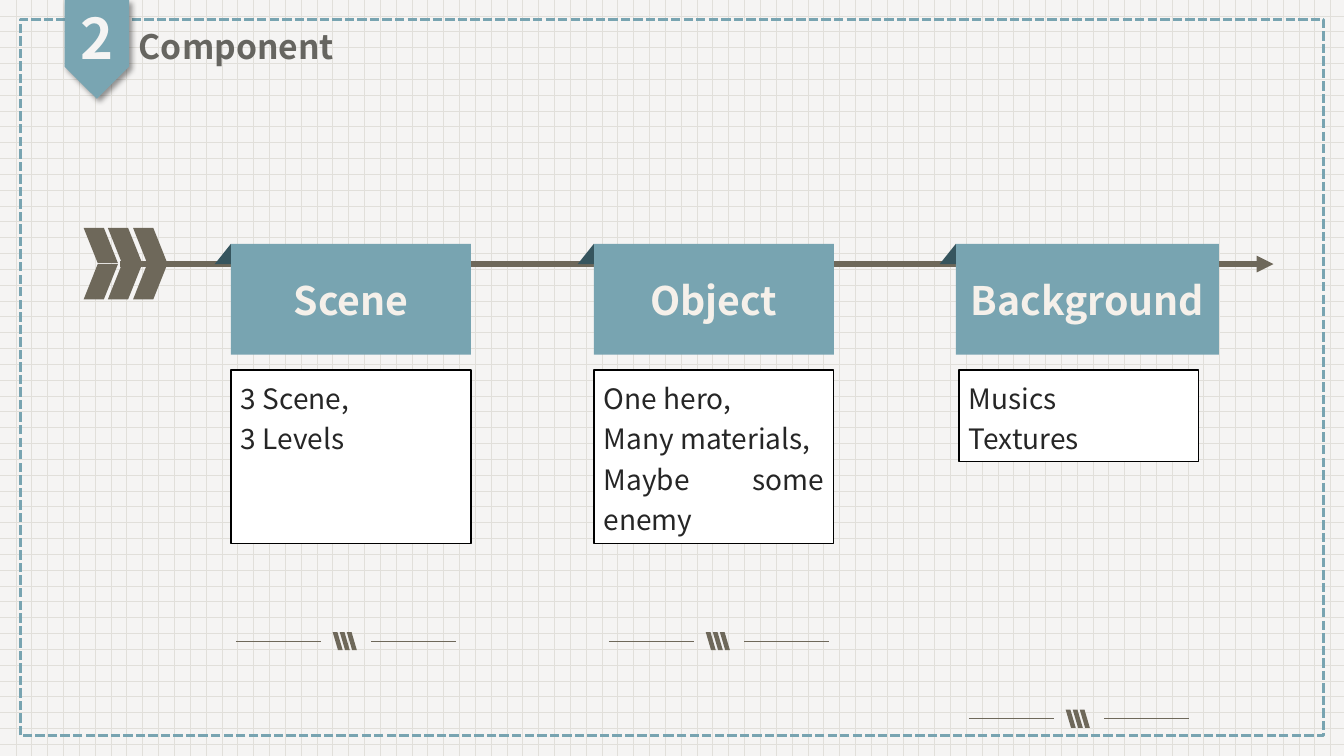
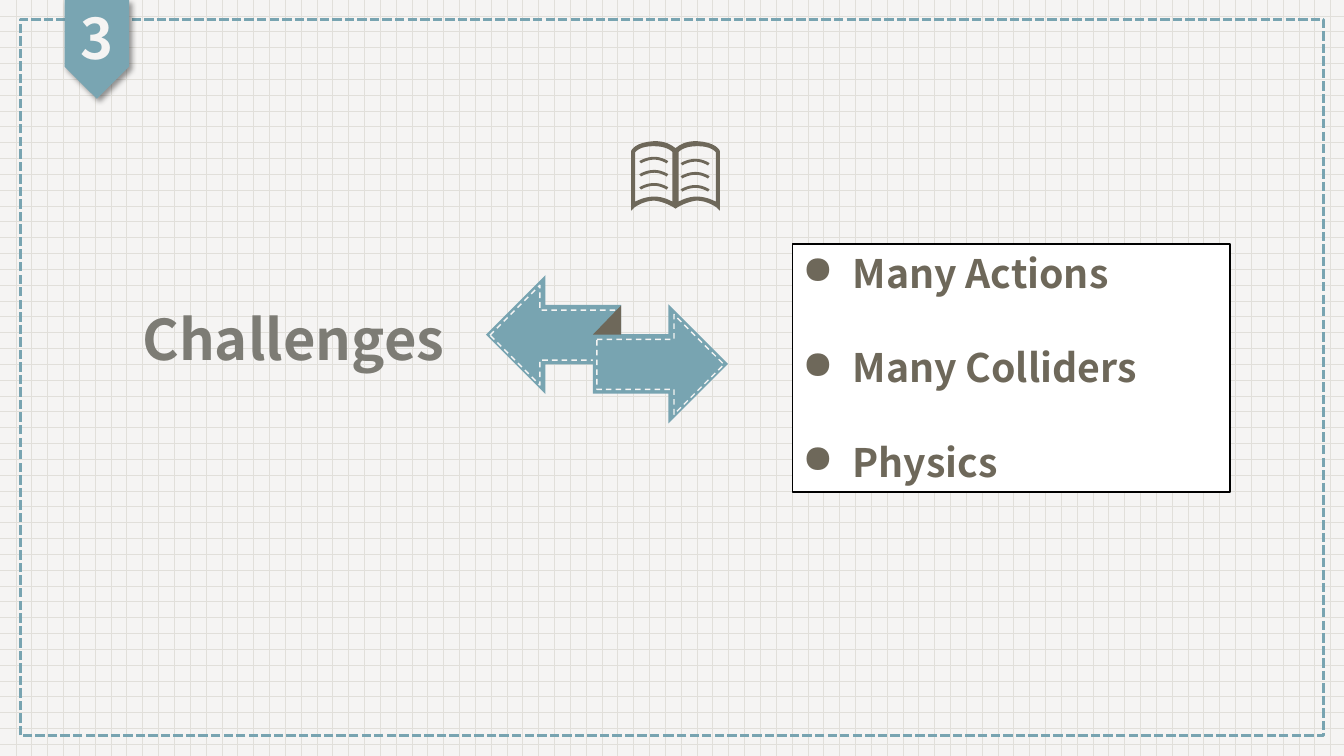
from pptx import Presentation
from pptx.dml.color import RGBColor
from pptx.enum.dml import MSO_LINE_DASH_STYLE as Dash, MSO_PATTERN_TYPE as Pattern
from pptx.enum.shapes import MSO_CONNECTOR as Connector, MSO_SHAPE as Shape
from pptx.enum.text import MSO_ANCHOR as Anchor, PP_ALIGN as Align
from pptx.oxml import parse_xml
from pptx.oxml.ns import nsdecls, qn
from pptx.util import Inches, Pt

FONT = "Noto Sans CJK SC"
TEAL, BADGE, FOLD = "78A4B1", "79A5B2", "36555E"
BROWN, PAPER, GRID = "6E685A", "F5F4F3", "E1DFDA"
CREAM, WHITE, BLACK = "F5F0EA", "FFFFFF", "000000"
TITLE_GREY, HEADLINE_GREY, BODY_GREY = "666560", "7D7C75", "262626"
MIDDLE = {"alignment": Align.CENTER}


def rgb(value):
    """Turn a hex string into a colour."""
    return RGBColor.from_string(value)


def drawing(tag, attributes="", inner=""):
    """Build one DrawingML element."""
    return parse_xml(f"<a:{tag} {nsdecls('a')} {attributes}>{inner}</a:{tag}>")


def curve(*knots, steps=8):
    """Sample a chain of cubic curves given as 3n + 1 knots."""
    points = [knots[0]]
    for first in range(0, len(knots) - 1, 3):
        segment = knots[first:first + 4]
        for step in range(1, steps + 1):
            t = step / steps
            weights = ((1 - t) ** 3, 3 * t * (1 - t) ** 2, 3 * t * t * (1 - t), t ** 3)
            points.append(tuple(sum(w * knot[axis] for w, knot in zip(weights, segment))
                                for axis in (0, 1)))
    return points


def mirror(points, spine):
    """Reflect points across a vertical line."""
    return [(2 * spine - x, y) for x, y in points]


class Painter:
    """Hold the deck style and draw on the current slide."""

    def __init__(self):
        """Open an empty widescreen deck."""
        self.deck = Presentation()
        self.deck.slide_width, self.deck.slide_height = Inches(13.33), Inches(7.5)
        self.page = None

    def start(self, number, title=None):
        """Add a slide with grid paper, dashed frame, badge and title."""
        self.page = self.deck.slides.add_slide(self.deck.slide_layouts[6])
        fill = self.page.background.fill
        fill.patterned()
        fill.pattern = Pattern.DOTTED_GRID
        fill.fore_color.rgb, fill.back_color.rgb = rgb(GRID), rgb(PAPER)
        self.shape(Shape.RECTANGLE, 0.2, 0.19, 12.93, 7.11,
                   line=TEAL, weight=2.25, dash=Dash.SQUARE_DOT)
        badge = self.shape(Shape.PENTAGON, 0.47, 0.17, 0.98, 0.64, BADGE)
        badge.rotation = 90
        self.cast_shadow(badge)
        self.label(0.64, 0, 0.64, 0.82, number, 40, PAPER,
                   {"alignment": Align.CENTER, "line_spacing": 0.9})
        if title:
            self.label(1.28, 0.23, 4.6, 0.51, title, 24, TITLE_GREY, {"line_spacing": 0.9})

    def cast_shadow(self, shape):
        """Give a shape a soft shadow to the lower right."""
        effects = shape.element.spPr.find(qn("a:effectLst"))
        effects.append(drawing(
            "outerShdw", f'blurRad="{Pt(4)}" dist="{Pt(3)}" dir="2700000" algn="tl"',
            f'<a:srgbClr val="{BLACK}"><a:alpha val="40000"/></a:srgbClr>'))

    def finish(self, shape, fill=None, line=None, weight=1, dash=None):
        """Set the fill and outline of a shape."""
        shape.shadow.inherit = False
        if fill:
            shape.fill.solid()
            shape.fill.fore_color.rgb = rgb(fill)
        else:
            shape.fill.background()
        if line:
            shape.line.color.rgb, shape.line.width = rgb(line), Pt(weight)
            if dash:
                shape.line.dash_style = dash
        else:
            shape.line.fill.background()
        return shape

    def shape(self, kind, left, top, width, height, fill=None, adjust=None, flip=False, **outline):
        """Add a preset shape."""
        shape = self.page.shapes.add_shape(
            kind, Inches(left), Inches(top), Inches(width), Inches(height))
        if adjust is not None:
            shape.adjustments[0] = adjust
        if flip:
            shape.element.spPr.find(qn("a:xfrm")).set("flipH", "1")
        return self.finish(shape, fill, **outline)

    def outline(self, contours, closed=True, **style):
        """Add a freeform from lists of points."""
        contours = [[(Inches(x), Inches(y)) for x, y in contour] for contour in contours]
        builder = self.page.shapes.build_freeform(*contours[0][0])
        for index, contour in enumerate(contours):
            if index:
                builder.move_to(*contour[0])
            builder.add_line_segments(contour[1:], close=closed)
        return self.finish(builder.convert_to_shape(), **style)

    def line(self, start, end, y, weight, arrow=False):
        """Add a level line, with an arrowhead if asked."""
        line = self.page.shapes.add_connector(
            Connector.STRAIGHT, Inches(start), Inches(y), Inches(end), Inches(y))
        line.line.color.rgb, line.line.width = rgb(BROWN), Pt(weight)
        properties = line.element.spPr
        if arrow:
            properties.find(qn("a:ln")).append(drawing("tailEnd", 'type="triangle"'))
        properties.append(drawing("effectLst"))

    def fill_text(self, box, lines, font, layout, anchor=Anchor.MIDDLE, bullet=None):
        """Put one paragraph in a box for each line of text."""
        frame = box.text_frame
        frame.word_wrap, frame.vertical_anchor = True, anchor
        for index, text in enumerate(lines):
            para = frame.paragraphs[0] if index == 0 else frame.add_paragraph()
            for name, value in {"alignment": Align.LEFT, **layout}.items():
                setattr(para, name, value)
            if index == 0:
                para.space_before = Pt(0)
            if bullet:
                properties = para._p.get_or_add_pPr()
                properties.set("marL", str(Inches(0.5)))
                properties.set("indent", str(Inches(-0.5)))
                properties.append(drawing("buChar", f'char="{bullet}"'))
            span = para.add_run()
            span.text = text
            for name, value in {"name": FONT, "bold": True, **font}.items():
                if name == "color":
                    span.font.color.rgb = rgb(value)
                else:
                    setattr(span.font, name, value)

    def label(self, left, top, width, height, text, size, color, layout):
        """Add a bold line of text without a box around it."""
        box = self.page.shapes.add_textbox(
            Inches(left), Inches(top), Inches(width), Inches(height))
        self.fill_text(box, [text], {"size": Pt(size), "color": color}, layout)

    def card(self, left, top, width, height, lines, font, layout, bullet=None):
        """Add a white outlined box of text."""
        box = self.shape(Shape.RECTANGLE, left, top, width, height, WHITE, line=BLACK)
        self.fill_text(box, lines, font, layout, Anchor.TOP, bullet)

    def banner(self, left, width, text):
        """Add a folded heading on the timeline."""
        box = self.shape(Shape.RECTANGLE, left, 2.42, width, 1.1, TEAL)
        self.fill_text(box, [text], {"size": Pt(28), "color": CREAM}, MIDDLE)
        self.shape(Shape.ISOSCELES_TRIANGLE, left - 0.16, 2.42, 0.16, 0.2, FOLD, adjust=1)

    def divider(self, left, y):
        """Add two thin lines with three slashes between them."""
        for offset in (0, 1.34):
            self.line(left + offset, left + offset + 0.84, y, 0.5)
        for index in range(3):
            self.shape(Shape.PARALLELOGRAM, left + 0.96 + 0.07 * index, y - 0.09, 0.1, 0.18,
                       BROWN, adjust=0.53, flip=True)

    def book(self):
        """Add the open book icon."""
        spine = 6.7
        half = curve((spine, 1.47), (6.66, 1.44), (6.61, 1.4), (6.49, 1.4),
                     (6.3, 1.41), (6.26, 1.49), (6.26, 1.5))
        half += [(6.26, 2.09)]
        half += curve((6.29, 2.06), (6.29, 2.06), (6.38, 1.99), (6.49, 1.99),
                      (6.58, 2), (6.65, 2.04), (6.67, 2.05))
        half += [(spine, 2.07)]
        leaf = curve((6.67, 2), (6.63, 1.98), (6.57, 1.95), (6.49, 1.95),
                     (6.41, 1.95), (6.34, 1.98), (6.3, 2))
        leaf += curve((6.3, 1.51), (6.31, 1.5), (6.35, 1.45), (6.48, 1.45),
                      (6.62, 1.45), (6.66, 1.5), (6.67, 1.51))
        cover = half + mirror(half, spine)[-2:0:-1]
        self.outline([cover, leaf, mirror(leaf, spine)], fill=BROWN)
        for left, top in ((6.35, 1.57), (6.76, 1.59)):
            for row in range(3):
                y = top + 0.13 * row
                stroke = curve((left, y + 0.04), (left, y + 0.04), (left + 0.06, y),
                               (left + 0.14, y), (left + 0.21, y), (left + 0.27, y + 0.04),
                               (left + 0.27, y + 0.04))
                self.outline([stroke], closed=False, line=BROWN, weight=2)


def draw_component(painter):
    """Draw the timeline of components."""
    painter.start("2", "Component")
    painter.line(1.19, 12.63, 2.62, 4, arrow=True)
    for top, flip in ((2.26, True), (2.62, False)):
        for left in (0.83, 1.07, 1.32):
            painter.shape(Shape.PARALLELOGRAM, left, top, 0.34, 0.35,
                          BROWN, adjust=0.41, flip=flip)
    columns = (
        ("Scene", 2.29, 2.38, 2.29, 1.72, ["3 Scene,", "3 Levels"], 2.34, 6.36),
        ("Object", 5.89, 2.38, 5.89, 1.72,
         ["One hero,", "Many materials,", "Maybe some enemy"], 6.04, 6.36),
        ("Background", 9.48, 2.61, 9.51, 0.91, ["Musics", "Textures"], 9.61, 7.13),
    )
    font = {"size": Pt(20), "color": BODY_GREY, "bold": False}
    layout = {"alignment": Align.JUSTIFY, "line_spacing": Pt(28.8)}
    for heading, left, width, card_left, height, lines, divider_left, divider_y in columns:
        painter.banner(left, width, heading)
        painter.card(card_left, 3.67, 2.38, height, lines, font, layout)
        painter.divider(divider_left, divider_y)


def draw_challenges(painter):
    """Draw the challenges and their list."""
    painter.start("3")
    for kind, left, top in ((Shape.LEFT_ARROW, 4.82, 2.73), (Shape.RIGHT_ARROW, 5.88, 3.02)):
        painter.shape(kind, left, top, 1.34, 1.18, TEAL)
        painter.shape(kind, left + 0.04, top + 0.1, 1.26, 0.99, line=PAPER, dash=Dash.DASH)
    painter.shape(Shape.ISOSCELES_TRIANGLE, 5.88, 3.03, 0.28, 0.29, BROWN, adjust=1)
    painter.card(7.86, 2.42, 4.34, 2.46, ["Many Actions", "Many Colliders", "Physics"],
                 {"size": Pt(28), "color": BROWN},
                 {"line_spacing": Pt(33.75), "space_before": Pt(33.75)}, "●")
    painter.book()
    painter.label(1.28, 2.97, 3.26, 0.77, "Challenges", 40, HEADLINE_GREY, MIDDLE)


def main():
    """Build and save the deck."""
    painter = Painter()
    draw_component(painter)
    draw_challenges(painter)
    painter.deck.save("out.pptx")


if __name__ == "__main__":
    main()
